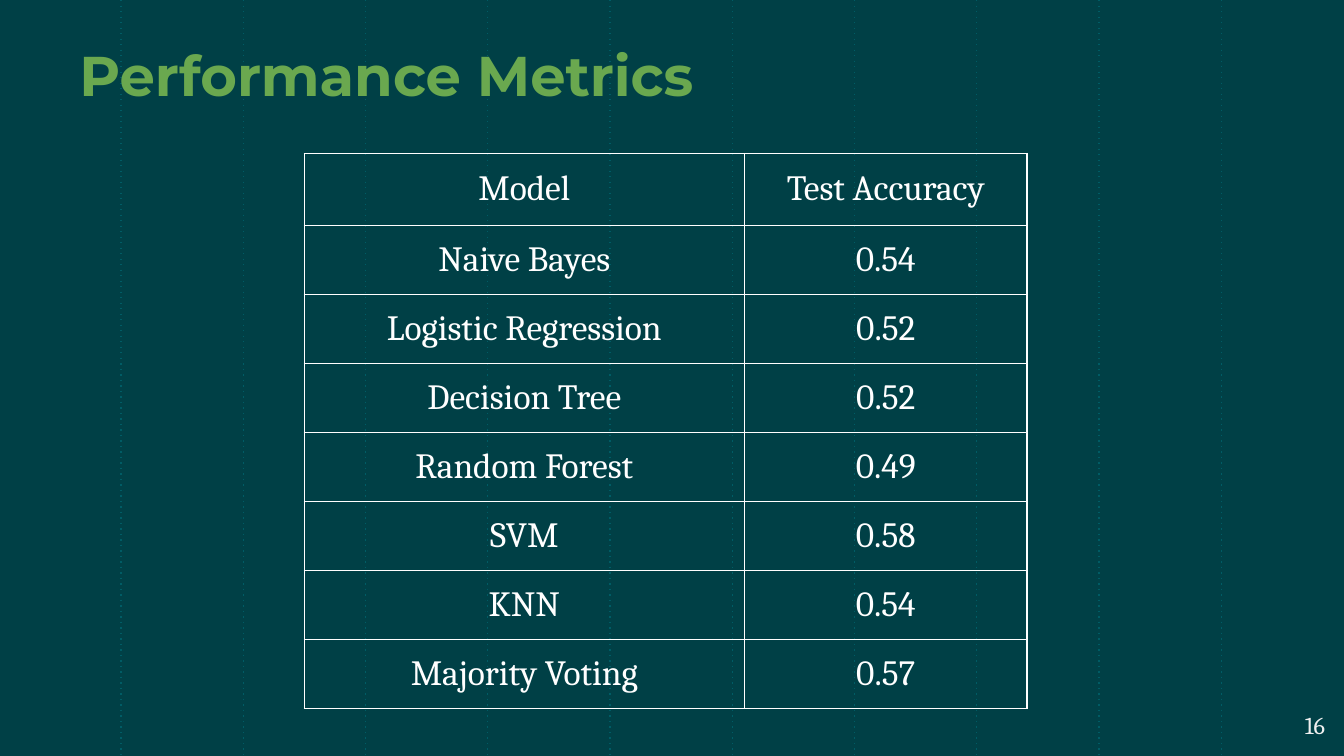
from lxml.etree import SubElement
from pptx import Presentation
from pptx.dml.color import RGBColor
from pptx.enum.shapes import MSO_CONNECTOR
from pptx.enum.text import MSO_ANCHOR, PP_ALIGN
from pptx.oxml import parse_xml
from pptx.oxml.ns import nsdecls, qn
from pptx.util import Cm, Pt

TEAL = RGBColor(0x00, 0x40, 0x46)
GUIDE = RGBColor(0x00, 0x5C, 0x65)
GREEN = RGBColor(0x6A, 0xA8, 0x4F)
WHITE = RGBColor(0xFF, 0xFF, 0xFF)
PALE = RGBColor(0xEF, 0xEF, 0xEF)

TITLE = "Performance Metrics"
PAGE_NUMBER = "16"
RESULTS = [
    ("Model", "Test Accuracy"),
    ("Naive Bayes", "0.54"),
    ("Logistic Regression", "0.52"),
    ("Decision Tree", "0.52"),
    ("Random Forest", "0.49"),
    ("SVM", "0.58"),
    ("KNN", "0.54"),
    ("Majority Voting", "0.57"),
]
COLUMN_WIDTHS = [8.32, 5.34]
HEADER_HEIGHT, ROW_HEIGHT = 1.36, 1.27
WIDTH, HEIGHT = 25.4, 14.29
GUIDE_COUNT, GUIDE_START, GUIDE_STEP = 10, 2.29, 2.31
INSET = Cm(0.25)


def write_text(frame, text, size=19, font="Cambria", color=WHITE,
               bold=False, align=PP_ALIGN.CENTER):
    para = frame.paragraphs[0]
    para.alignment = align
    span = para.add_run()
    span.text = text
    span.font.size = Pt(size)
    span.font.name = font
    span.font.color.rgb = color
    span.font.bold = bold


def add_text_box(page, left, top, width, height, text, anchor, **text_format):
    box = page.shapes.add_textbox(Cm(left), Cm(top), Cm(width), Cm(height))
    frame = box.text_frame
    frame.word_wrap = True
    frame.vertical_anchor = anchor
    frame.margin_left = frame.margin_right = INSET
    frame.margin_top = frame.margin_bottom = INSET
    write_text(frame, text, **text_format)


def add_guides(page):
    for index in range(GUIDE_COUNT):
        x = Cm(GUIDE_START + index * GUIDE_STEP)
        guide = page.shapes.add_connector(MSO_CONNECTOR.STRAIGHT, x, 0, x, Cm(HEIGHT))
        guide.line.color.rgb = GUIDE
        guide.line.width = Pt(0.75)
        properties = guide._element.spPr
        SubElement(properties.find(qn("a:ln")), qn("a:prstDash"), val="dot")
        SubElement(properties, qn("a:effectLst"))


def add_borders(cell):
    properties = cell._tc.get_or_add_tcPr()
    for position, side in enumerate(("lnL", "lnR", "lnT", "lnB")):
        properties.insert(position, parse_xml(
            f'<a:{side} {nsdecls("a")} w="{Pt(0.75)}"><a:solidFill>'
            f'<a:srgbClr val="{WHITE}"/></a:solidFill></a:{side}>'))


def add_results(page):
    row_heights = [HEADER_HEIGHT] + [ROW_HEIGHT] * (len(RESULTS) - 1)
    table = page.shapes.add_table(
        len(RESULTS), len(COLUMN_WIDTHS), Cm(5.75), Cm(2.9),
        Cm(sum(COLUMN_WIDTHS)), Cm(sum(row_heights))).table
    table.first_row = table.horz_banding = False
    for column, width in zip(table.columns, COLUMN_WIDTHS):
        column.width = Cm(width)
    for row, height, values in zip(table.rows, row_heights, RESULTS):
        row.height = Cm(height)
        for cell, value in zip(row.cells, values):
            cell.fill.background()
            cell.vertical_anchor = MSO_ANCHOR.MIDDLE
            cell.margin_left = cell.margin_right = INSET
            cell.margin_top = cell.margin_bottom = INSET
            add_borders(cell)
            write_text(cell.text_frame, value)


def main():
    deck = Presentation()
    deck.slide_width, deck.slide_height = Cm(WIDTH), Cm(HEIGHT)
    page = deck.slides.add_slide(deck.slide_layouts[6])
    page.background.fill.solid()
    page.background.fill.fore_color.rgb = TEAL
    add_guides(page)
    add_text_box(page, 1.25, 0.05, 15.85, 2.23, TITLE, MSO_ANCHOR.BOTTOM,
                 size=30, font="Montserrat", color=GREEN, bold=True,
                 align=PP_ALIGN.LEFT)
    add_text_box(page, 23.77, 13.18, 1.52, 1.09, PAGE_NUMBER, MSO_ANCHOR.TOP,
                 size=13, color=PALE, align=PP_ALIGN.RIGHT)
    add_results(page)
    deck.save("out.pptx")


if __name__ == "__main__":
    main()
